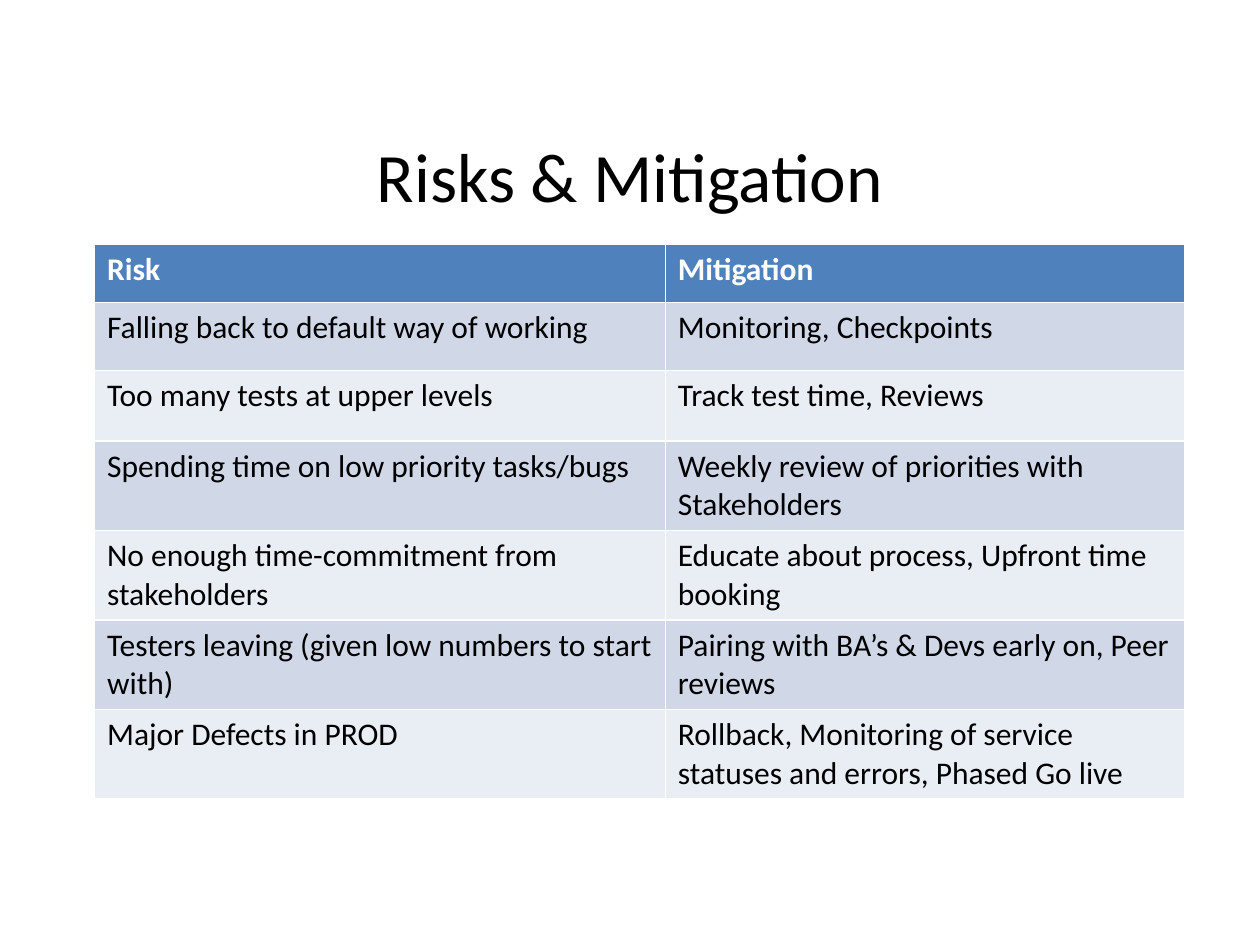
from pptx import Presentation
from pptx.dml.color import RGBColor
from pptx.enum.text import MSO_ANCHOR, MSO_AUTO_SIZE, PP_ALIGN
from pptx.util import Inches, Pt

MIDDLE = MSO_ANCHOR.MIDDLE
NO_AUTOFIT = MSO_AUTO_SIZE.NONE
CENTER = PP_ALIGN.CENTER

FONT = "Calibri"
HEADER_FILL = "4F81BD"
BAND_FILLS = ["E9EDF4", "D0D8E8"]
COLUMN_WIDTHS = [4.53, 4.12]
ROW_HEIGHTS = [0.46, 0.54] + [0.56] * 5
ROWS = [
    ("Risk", "Mitigation"),
    ("Falling back to default way of working", "Monitoring, Checkpoints"),
    ("Too many tests at upper levels", "Track test time, Reviews"),
    ("Spending time on low priority tasks/bugs",
     "Weekly review of priorities with Stakeholders"),
    ("No enough time-commitment from stakeholders",
     "Educate about process, Upfront time booking"),
    ("Testers leaving (given low numbers to start with)",
     "Pairing with BA’s & Devs early on, Peer reviews"),
    ("Major Defects in PROD",
     "Rollback, Monitoring of service statuses and errors, Phased Go live"),
]


def color(hex_string):
    return RGBColor.from_string(hex_string)


def format_paragraph(paragraph, size, hex_string, bold=False):
    font = paragraph.font
    font.name = FONT
    font.size = Pt(size)
    font.bold = bold
    font.color.rgb = color(hex_string)


presentation = Presentation()
presentation.slide_width = Inches(10)
presentation.slide_height = Inches(7.5)
slide = presentation.slides.add_slide(presentation.slide_layouts[5])

# Title
title = slide.shapes.title
title.left, title.top = Inches(0.75), Inches(0.99)
title.width, title.height = Inches(8.5), Inches(0.79)
title.text_frame.text = "Risks & Mitigation"
title.text_frame.auto_size = NO_AUTOFIT
title.text_frame.vertical_anchor = MIDDLE
title_paragraph = title.text_frame.paragraphs[0]
title_paragraph.alignment = CENTER
format_paragraph(title_paragraph, 39.6, "000000")

# Risk table; the default table style supplies the white borders
table = slide.shapes.add_table(
    len(ROWS), len(COLUMN_WIDTHS), Inches(0.75), Inches(1.94),
    Inches(sum(COLUMN_WIDTHS)), Inches(sum(ROW_HEIGHTS))).table
for column, width in zip(table.columns, COLUMN_WIDTHS):
    column.width = Inches(width)

for row_index, (row, height) in enumerate(zip(table.rows, ROW_HEIGHTS)):
    row.height = Inches(height)
    is_header = row_index == 0
    for cell, text in zip(row.cells, ROWS[row_index]):
        cell.text = text
        cell.fill.solid()
        cell.fill.fore_color.rgb = color(
            HEADER_FILL if is_header else BAND_FILLS[row_index % 2])
        format_paragraph(cell.text_frame.paragraphs[0], 18,
                         "FFFFFF" if is_header else "000000", is_header)

presentation.save("out.pptx")
